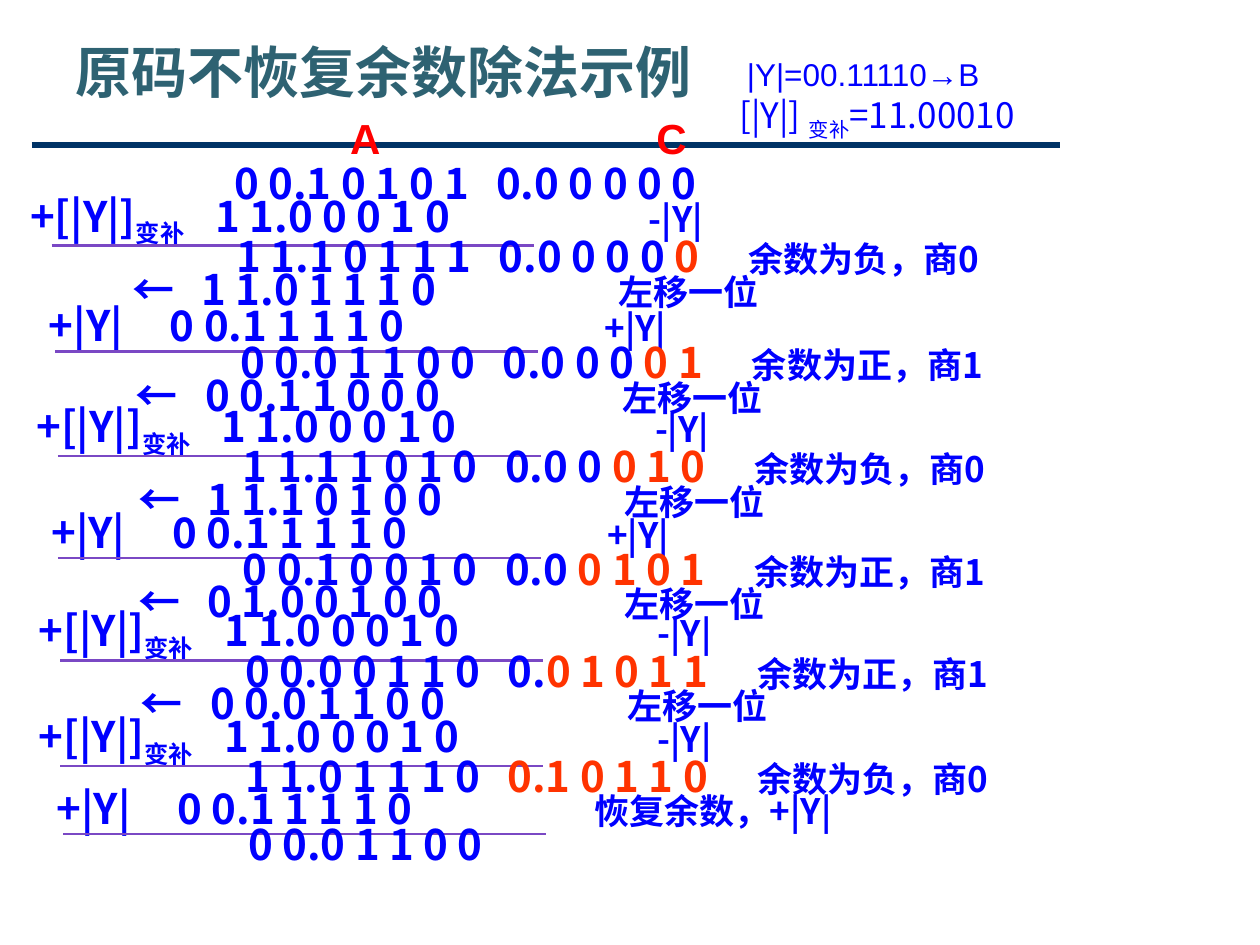
from collections import namedtuple

from lxml.etree import SubElement
from pptx import Presentation
from pptx.dml.color import RGBColor
from pptx.enum.shapes import MSO_CONNECTOR
from pptx.enum.text import PP_ALIGN
from pptx.oxml.ns import qn
from pptx.util import Inches, Pt

NAVY = RGBColor(0x00, 0x33, 0x66)
TEAL = RGBColor(0x2E, 0x62, 0x72)
BLUE = RGBColor(0x00, 0x00, 0xFF)
ORANGE = RGBColor(0xFF, 0x33, 0x00)
RED = RGBColor(0xFF, 0x00, 0x00)
PURPLE = RGBColor(0x7A, 0x48, 0xC4)

CJK = "Noto Sans CJK SC"
LATIN = "Arial"
SUBSCRIPT = {"baseline": -25}
SMALL = {"size": 20}

# One division step: its operand, the new remainder (A), the quotient
# register (C) split into old and new digits, and the shifted remainder
Step = namedtuple("Step", "left top subtract remainder old_digits quotient sign shifted")
STEPS = [
    Step(1.78, 1.83, True, "1 1.1 0 1 1 1", "0.0 0 0 0 ", "0", "负", "1 1.0 1 1 1 0"),
    Step(1.81, 2.67, False, "0 0.0 1 1 0 0", "0.0 0 0 ", "0 1", "正", "0 0.1 1 0 0 0"),
    Step(1.83, 3.50, True, "1 1.1 1 0 1 0", "0.0 0 ", "0 1 0", "负", "1 1.1 0 1 0 0"),
    Step(1.83, 4.31, False, "0 0.1 0 0 1 0", "0.0 ", "0 1 0 1", "正", "0 1.0 0 1 0 0"),
    Step(1.85, 5.12, True, "0 0.0 0 1 1 0", "0.", "0 1 0 1 1", "正", "0 0.0 1 1 0 0"),
    Step(1.85, 5.96, True, "1 1.0 1 1 1 0", "", "0.1 0 1 1 0", "负", None),
]
FINAL_LEFT, FINAL_TOP = 1.87, 6.5


def add_run(paragraph, text, size=24, color=BLUE, bold=True, font=CJK, baseline=0):
    run = paragraph.add_run()
    run.text = text
    run.font.size = Pt(size)
    run.font.bold = bold
    run.font.name = font
    run.font.color.rgb = color
    properties = run.font._element
    SubElement(properties, qn("a:ea")).set("typeface", font)
    if baseline:
        properties.set("baseline", str(baseline * 1000))


def add_text(slide, left, top, width, height, runs, tabs=(), align=PP_ALIGN.LEFT,
             margin_left=0.1, margin_y=0, **base):
    """Add a one-line text box; runs are (text, format changes) pairs."""
    shape = slide.shapes.add_textbox(
        Inches(left), Inches(top), Inches(width), Inches(height))
    frame = shape.text_frame
    frame.word_wrap = True
    frame.margin_left = Inches(margin_left)
    frame.margin_top = frame.margin_bottom = Inches(margin_y)
    paragraph = frame.paragraphs[0]
    paragraph.alignment = align
    if tabs:
        tab_list = SubElement(paragraph._p.get_or_add_pPr(), qn("a:tabLst"))
        for position in tabs:
            SubElement(tab_list, qn("a:tab"), pos=str(Inches(position)), algn="l")
    for text, changes in runs:
        add_run(paragraph, text, **{**base, **changes})


def add_rule(slide, left, right, y, color, weight):
    connector = slide.shapes.add_connector(
        MSO_CONNECTOR.STRAIGHT, Inches(left), Inches(y), Inches(right), Inches(y))
    connector.line.color.rgb = color
    connector.line.width = Pt(weight)
    SubElement(connector._element.spPr, qn("a:effectLst"))


def add_operand(slide, left, top, subtract, note=None):
    """Add the operand row and the rule above the result at left, top."""
    if subtract:
        runs = [("+[|Y|]", {}), ("变补", SUBSCRIPT), ("\t1 1.0 0 0 1 0", {}),
                ("\t-|Y|", SMALL)]
        add_text(slide, left - 1.64, top - 0.32, 9.19, 0.5, runs, tabs=(1.47, 4.91))
    else:
        runs = [("+|Y|\t0 0.1 1 1 1 0", {}), ("\t" + (note or "+|Y|"), SMALL)]
        tabs = (0.96, 4.27 if note else 4.41)
        add_text(slide, left - 1.52, top - 0.29, 9.19, 0.5, runs, tabs=tabs)
    add_rule(slide, left - 1.37, left + 2.46, top + 0.12, PURPLE, 1.5)


def add_step(slide, step):
    add_operand(slide, step.left, step.top, step.subtract)
    quotient_digit = "1" if step.sign == "正" else "0"
    runs = [(f"{step.remainder}\t{step.old_digits}", {}),
            (step.quotient, {"color": ORANGE}),
            (f"\t余数为{step.sign}，商{quotient_digit}", SMALL)]
    add_text(slide, step.left, step.top, 8.08, 0.5, runs, tabs=(2.08, 4.06))
    if step.shifted:
        runs = [(f"←\t{step.shifted}", {}), ("\t左移一位", SMALL)]
        add_text(slide, step.left - 0.83, step.top + 0.26, 7.77, 0.5, runs,
                 tabs=(0.55, 3.86))


def add_heading(slide):
    add_rule(slide, 0.25, 8.41, 1.15, NAVY, 3)
    add_text(slide, 0.5, 0.3, 5.6, 1.25, [("原码不恢复余数除法示例", {})],
             size=32, color=TEAL)
    # Divisor and its complement
    add_text(slide, 5.27, 0.74, 3.19, 0.44,
             [("[|Y|] ", {}), ("变补", SUBSCRIPT), ("=11.00010", {})],
             margin_left=0.6, size=20, bold=False)
    add_text(slide, 5.83, 0.39, 2.06, 0.4, [("|Y|=00.11110→B", {})],
             margin_y=0.05, size=18, bold=False, font=LATIN)
    # Register names
    for name, left in (("A", 2.35), ("C", 4.78)):
        add_text(slide, left, 0.84, 1.1, 0.51, [(name, {})], align=PP_ALIGN.CENTER,
                 margin_y=0.05, color=RED, font=LATIN)


def main():
    presentation = Presentation()
    presentation.slide_width = Inches(10)
    presentation.slide_height = Inches(7.5)
    slide = presentation.slides.add_slide(presentation.slide_layouts[6])

    add_heading(slide)
    # Initial registers
    add_text(slide, 1.76, 1.25, 6.73, 0.5, [("0 0.1 0 1 0 1\t0.0 0 0 0 0", {})],
             tabs=(2.08,))
    for step in STEPS:
        add_step(slide, step)
    # Restore the final remainder
    add_operand(slide, FINAL_LEFT, FINAL_TOP, False, note="恢复余数，+|Y|")
    add_text(slide, FINAL_LEFT, FINAL_TOP, 8.08, 0.5, [("0 0.0 1 1 0 0", {})])

    presentation.save("out.pptx")


if __name__ == "__main__":
    main()
